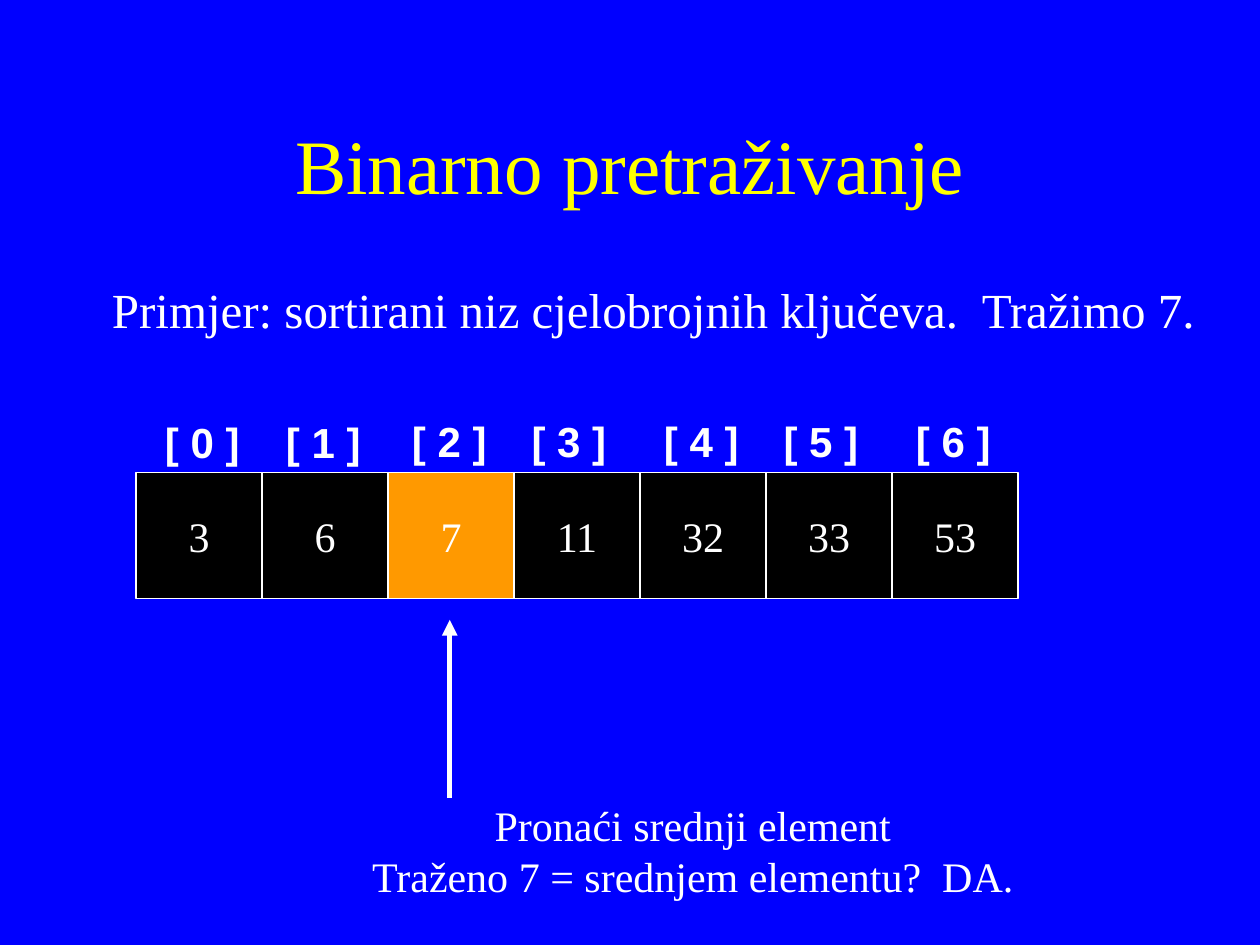
"""Build a slide showing one step of binary search on a sorted array."""
import pptx
import pptx.util
import pptx.dml.color
import pptx.enum.shapes
import pptx.enum.text
import pptx.oxml.ns
from lxml import etree

Inches, Pt = pptx.util.Inches, pptx.util.Pt
RGBColor = pptx.dml.color.RGBColor
LEFT, CENTER = pptx.enum.text.PP_ALIGN.LEFT, pptx.enum.text.PP_ALIGN.CENTER
TOP, MIDDLE = pptx.enum.text.MSO_ANCHOR.TOP, pptx.enum.text.MSO_ANCHOR.MIDDLE
qn = pptx.oxml.ns.qn

BLUE = RGBColor(0x00, 0x00, 0xFF)
YELLOW = RGBColor(0xFF, 0xFF, 0x00)
WHITE = RGBColor(0xFF, 0xFF, 0xFF)
BLACK = RGBColor(0x00, 0x00, 0x00)
ORANGE = RGBColor(0xFF, 0x99, 0x00)
SERIF, SANS = "Times New Roman", "Arial"

TITLE = "Binarno pretraživanje"
EXAMPLE = "Primjer: sortirani niz cjelobrojnih ključeva.  Tražimo 7."
STEP = ["Pronaći srednji element", "Traženo 7 = srednjem elementu?  DA."]
KEYS = [3, 6, 7, 11, 32, 33, 53]
MIDDLE_INDEX = 2
INDEX_PLACES = [(1.21, 3.26), (2.17, 3.26), (3.17, 3.25), (4.12, 3.25),
                (5.17, 3.25), (6.12, 3.25), (7.17, 3.25)]
ARRAY_LEFT, ARRAY_TOP, CELL = 1.08, 3.75, 1


def write(sp, lines, size, font=SERIF, color=WHITE, bold=False,
          align=CENTER, anchor=TOP, wrap=False):
    tf = sp.text_frame
    tf.word_wrap = wrap
    tf.vertical_anchor = anchor
    for i, line in enumerate(lines):
        p = tf.add_paragraph() if i else tf.paragraphs[0]
        p.alignment = align
        r = p.add_run()
        r.text = line
        r.font.name, r.font.size, r.font.bold = font, Pt(size), bold
        r.font.color.rgb = color


def add_text(s, box, lines, size, **style):
    write(s.shapes.add_textbox(*map(Inches, box)), lines, size, **style)


def add_cell(s, index, key):
    sp = s.shapes.add_shape(
        pptx.enum.shapes.MSO_SHAPE.RECTANGLE, Inches(ARRAY_LEFT + index * CELL),
        Inches(ARRAY_TOP), Inches(CELL), Inches(CELL))
    sp.shadow.inherit = False
    sp.fill.solid()
    sp.fill.fore_color.rgb = ORANGE if index == MIDDLE_INDEX else BLACK
    sp.line.color.rgb, sp.line.width = WHITE, Pt(0.75)
    write(sp, [str(key)], 24, anchor=MIDDLE)


def add_arrow(s, x, tip, tail):
    c = s.shapes.add_connector(
        pptx.enum.shapes.MSO_CONNECTOR.STRAIGHT,
        Inches(x), Inches(tip), Inches(x), Inches(tail))
    c.line.color.rgb, c.line.width = WHITE, Pt(3)
    etree.SubElement(c.line._get_or_add_ln(), qn("a:headEnd"), type="triangle")
    etree.SubElement(c._element.spPr, qn("a:effectLst"))


def main():
    prs = pptx.Presentation()
    prs.slide_width, prs.slide_height = Inches(10), Inches(7.5)
    s = prs.slides.add_slide(prs.slide_layouts[6])
    s.background.fill.solid()
    s.background.fill.fore_color.rgb = BLUE

    add_text(s, (0.75, 0.67, 8.5, 1.25), [TITLE], 44,
             color=YELLOW, anchor=MIDDLE, wrap=True)
    add_text(s, (0.79, 2.17, 8.81, 2.9), [EXAMPLE], 28, align=LEFT)
    for i, (key, (left, top)) in enumerate(zip(KEYS, INDEX_PLACES)):
        add_cell(s, i, key)
        add_text(s, (left, top, 0.79, 0.5), [f"[ {i} ]"], 24, font=SANS, bold=True)
    add_arrow(s, 3.57, 4.92, 6.33)
    add_text(s, (2.85, 6.3, 5.3, 0.9), STEP, 24)
    prs.save("out.pptx")


if __name__ == "__main__":
    main()
